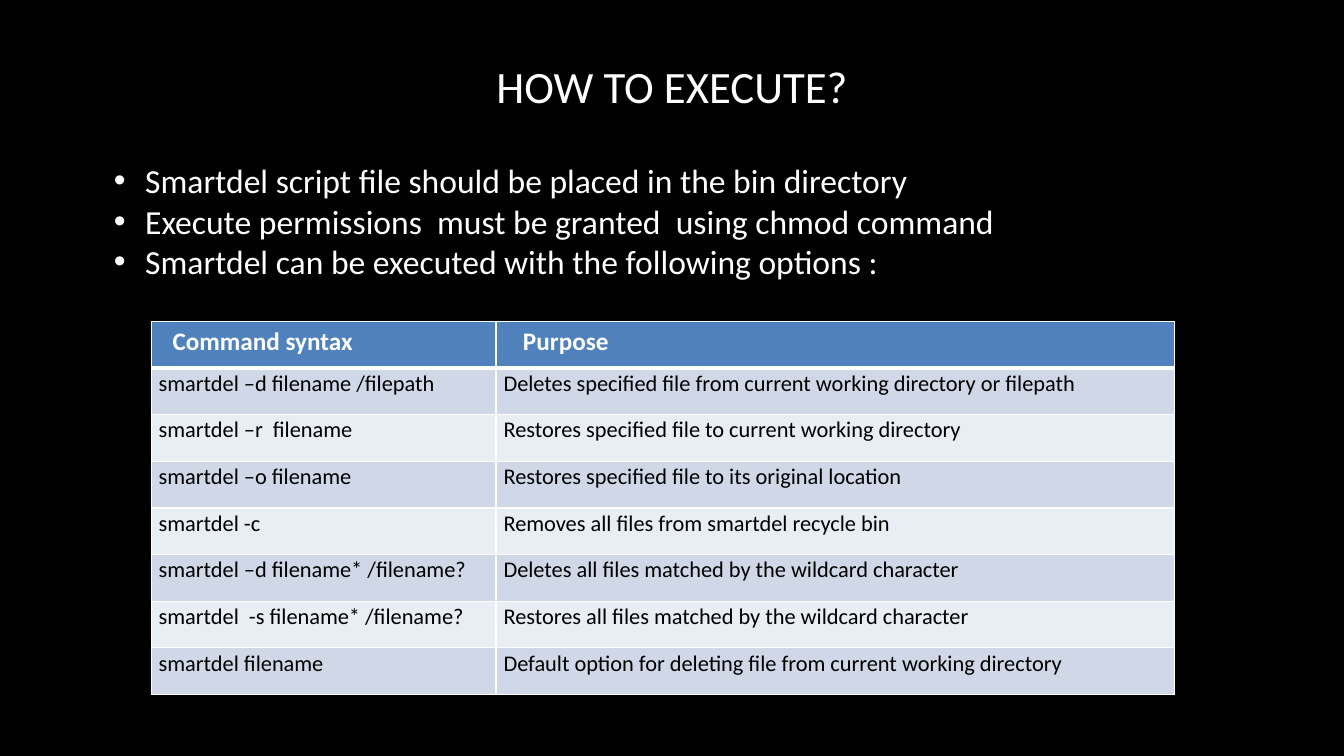
from lxml.etree import SubElement as Sub
from pptx import Presentation
from pptx.dml.color import RGBColor
from pptx.enum.text import MSO_ANCHOR as ANCHOR, PP_ALIGN as ALIGN
from pptx.oxml.ns import qn
from pptx.util import Cm, Pt

WHITE, BLACK, BLUE = "FFFFFF", "000000", "4F81BD"
BANDS = "D0D8E8", "E9EDF4"


def color(value):
    return RGBColor.from_string(value)


def assign(target, values):
    for name, value in values.items():
        setattr(target, name, value)


class Deck:
    """Holds the text style and the current slide."""

    font = "Calibri"

    def __init__(self, prs):
        self.s = prs.slides.add_slide(prs.slide_layouts[6])

    def background(self, fill):
        bg = self.s.background.fill
        bg.solid()
        bg.fore_color.rgb = color(fill)

    def run(self, p, text, size, ink=WHITE, bold=False):
        r = p.add_run()
        r.text = text
        assign(r.font, dict(name=self.font, size=Pt(size), bold=bold))
        r.font.color.rgb = color(ink)

    def text(self, box, lines, size, frame=None, para=None, bullet=None):
        tf = self.s.shapes.add_textbox(*map(Cm, box)).text_frame
        assign(tf, dict(word_wrap=True, **(frame or {})))
        for i, line in enumerate(lines):
            p = tf.add_paragraph() if i else tf.paragraphs[0]
            assign(p, para or {})
            if bullet:
                self.bullet(p, bullet)
            self.run(p, line, size)

    def bullet(self, p, char, indent=0.79):
        pPr = p._p.get_or_add_pPr()
        pPr.set("marL", str(Cm(indent)))
        pPr.set("indent", str(-Cm(indent)))
        Sub(pPr, qn("a:buFont"), typeface="Arial")
        Sub(pPr, qn("a:buChar"), char=char)

    def borders(self, cell, widths):
        tcPr = cell._tc.get_or_add_tcPr()
        for side, width in widths.items():
            ln = Sub(tcPr, qn("a:ln" + side), w=str(Pt(width)))
            Sub(Sub(ln, qn("a:solidFill")), qn("a:srgbClr"), val=WHITE)

    def cell(self, cell, text, fill, edges, size, ink, bold, frame, para):
        self.borders(cell, edges)  # borders precede the fill in the XML
        cell.fill.solid()
        cell.fill.fore_color.rgb = color(fill)
        assign(cell, frame)
        p = cell.text_frame.paragraphs[0]
        assign(p, para)
        self.run(p, text, size, ink, bold)

    def table(self, box, widths, header, rows, header_insets):
        table = self.s.shapes.add_table(
            len(rows) + 1, len(widths), *map(Cm, box)).table
        for col, width in zip(table.columns, widths):
            col.width = Cm(width)
        for i, row in enumerate([header] + rows):
            edges = dict(L=1, R=1, T=3 if i == 1 else 1, B=1 if i else 3)
            for j, text in enumerate(row):
                if i:
                    frame = dict(margin_left=Cm(0.19), margin_right=Cm(0.19),
                                 margin_top=0, margin_bottom=0)
                    style = (BANDS[(i - 1) % 2], edges, 16, BLACK, False,
                             frame, dict(line_spacing=1.07))
                else:
                    frame = dict(margin_left=Cm(header_insets[j]))
                    style = BLUE, edges, 18, WHITE, True, frame, {}
                self.cell(table.cell(i, j), text, *style)


prs = Presentation()
assign(prs, dict(slide_width=Cm(33.87), slide_height=Cm(19.05)))
deck = Deck(prs)
deck.background(BLACK)

# Title
deck.text((5.51, 1.09, 22.86, 2.13), ["HOW TO EXECUTE?"], 32,
          frame=dict(vertical_anchor=ANCHOR.MIDDLE),
          para=dict(alignment=ALIGN.CENTER))

# Instructions
deck.text((2.62, 3.91, 30.4, 13.59), [
    "Smartdel script file should be placed in the bin directory",
    "Execute permissions  must be granted  using chmod command",
    "Smartdel can be executed with the following options :",
], 24, bullet="•")

# Command options
deck.table((3.81, 8.1, 25.78, 9.4), (8.69, 17.09),
           ("Command syntax", "Purpose"), [
    ("smartdel –d filename /filepath",
     "Deletes specified file from current working directory or filepath"),
    ("smartdel –r  filename",
     "Restores specified file to current working directory"),
    ("smartdel –o filename",
     "Restores specified file to its original location"),
    ("smartdel -c", "Removes all files from smartdel recycle bin"),
    ("smartdel –d filename* /filename?",
     "Deletes all files matched by the wildcard character"),
    ("smartdel  -s filename* /filename?",
     "Restores all files matched by the wildcard character"),
    ("smartdel filename",
     "Default option for deleting file from current working directory"),
], header_insets=(0.54, 0.68))

prs.save("out.pptx")
